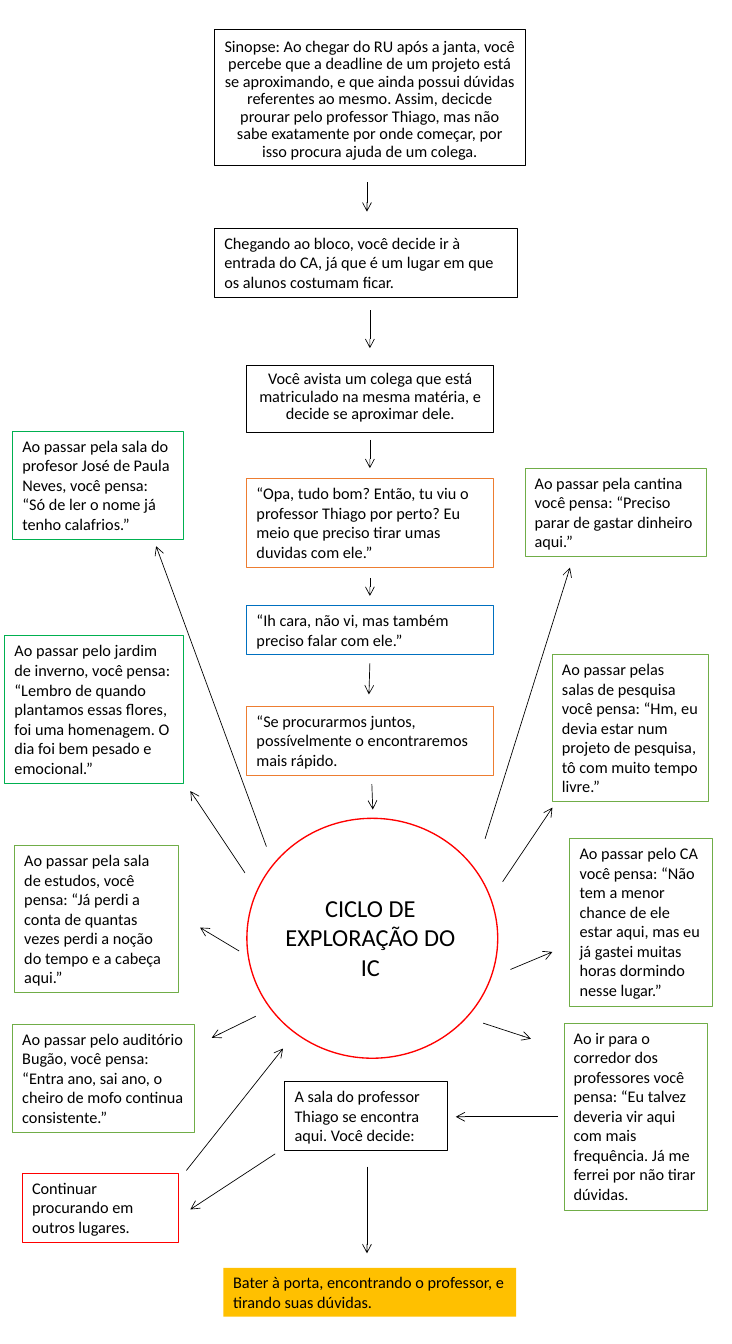
"""Build the flowchart of the search for the professor."""
from dataclasses import dataclass
from lxml import etree
from pptx import Presentation
from pptx import util as u
from pptx.dml import color
from pptx.enum import shapes, text
from pptx.oxml import ns


@dataclass
class Theme:
    font: str = "Calibri"
    body: int = 12
    big: int = 18
    ink: str = "000000"
    red: str = "FF0000"
    orange: str = "ED7D31"
    blue: str = "0070C0"
    green: str = "00B050"
    leaf: str = "70AD47"
    gold: str = "FFC000"


theme = Theme()
rgb = color.RGBColor.from_string
fit = text.MSO_AUTO_SIZE


def place(shape, spot):
    for name, size in zip(("left", "top", "width", "height"), spot):
        setattr(shape, name, u.Inches(size))


def write(shape, words, size=theme.body, align=text.PP_ALIGN.LEFT, space=1.0,
          anchor=text.MSO_ANCHOR.TOP, grow=fit.SHAPE_TO_FIT_TEXT):
    frame = shape.text_frame
    frame.text = words
    para = frame.paragraphs[0]
    font = para.runs[0].font
    font.color.rgb = rgb(theme.ink)
    for part, look in (
        (frame, {"word_wrap": True, "auto_size": grow, "vertical_anchor": anchor}),
        (para, {"alignment": align, "line_spacing": space}),
        (font, {"name": theme.font, "size": u.Pt(size)}),
    ):
        for name, value in look.items():
            setattr(part, name, value)


deck = Presentation()
deck.slide_width, deck.slide_height = u.Inches(7.5), u.Inches(35 / 2.54)
slide = deck.slides.add_slide(deck.slide_layouts[5])
items = slide.shapes
mid = {"align": text.PP_ALIGN.CENTER, "space": 0.9, "grow": fit.NONE}

title = items.title
place(title, (2.2, 0.3, 3.18, 1.4))
title.line.color.rgb = rgb(theme.ink)
title.line.width = u.Pt(0.75)
write(title, "Sinopse: Ao chegar do RU após a janta, você percebe que a deadline de um projeto está se aproximando, e que ainda possui dúvidas referentes ao mesmo. Assim, decicde prourar pelo professor Thiago, mas não sabe exatamente por onde começar, por isso procura ajuda de um colega.",
      anchor=text.MSO_ANCHOR.BOTTOM, **mid)

steps = [
    ((2.53, 3.75, 2.53, 0.68), theme.ink, "Você avista um colega que está matriculado na mesma matéria, e decide se aproximar dele.", mid),
    ((2.2, 2.34, 3.1, 0.71), theme.ink, "Chegando ao bloco, você decide ir à entrada do CA, já que é um lugar em que os alunos costumam ficar.", {}),
    ((2.53, 4.91, 2.53, 0.91), theme.orange, "“Opa, tudo bom? Então, tu viu o professor Thiago por perto? Eu meio que preciso tirar umas duvidas com ele.”", {}),
    ((2.53, 6.21, 2.53, 0.5), theme.blue, "“Ih cara, não vi, mas também preciso falar com ele.”", {}),
    ((2.53, 7.24, 2.53, 0.71), theme.orange, "“Se procurarmos juntos, possívelmente o encontraremos mais rápido.", {}),
    ((0.13, 4.42, 1.75, 1.11), theme.green, "Ao passar pela sala do profesor José de Paula Neves, você pensa: “Só de ler o nome já tenho calafrios.”", {}),
    ((0.05, 6.52, 1.83, 1.51), theme.green, "Ao passar pelo jardim de inverno, você pensa: “Lembro de quando plantamos essas flores, foi uma homenagem. O dia foi bem pesado e emocional.”", {}),
    ((0.15, 8.67, 1.68, 1.51), theme.leaf, "Ao passar pela sala de estudos, você pensa: “Já perdi a conta de quantas vezes perdi a noção do tempo e a cabeça aqui.”", {}),
    ((0.13, 10.5, 1.86, 1.11), theme.leaf, "Ao passar pelo auditório Bugão, você pensa: “Entra ano, sai ano, o cheiro de mofo continua consistente.”", {}),
    ((5.38, 4.8, 1.86, 0.91), theme.leaf, "Ao passar pela cantina você pensa: “Preciso parar de gastar dinheiro aqui.”", {}),
    ((5.66, 6.71, 1.6, 1.51), theme.leaf, "Ao passar pelas salas de pesquisa você pensa: “Hm, eu devia estar num projeto de pesquisa, tô com muito tempo livre.”", {}),
    ((5.84, 8.6, 1.46, 1.72), theme.leaf, "Ao passar pelo CA você pensa: “Não tem a menor chance de ele estar aqui, mas eu já gastei muitas horas dormindo nesse lugar.”", {}),
    ((5.78, 10.49, 1.47, 1.92), theme.leaf, "Ao ir para o corredor dos professores você pensa: “Eu talvez deveria vir aqui com mais frequência. Já me ferrei por não tirar dúvidas.", {}),
    ((2.92, 11.09, 1.67, 0.71), theme.ink, "A sala do professor Thiago se encontra aqui. Você decide:", {}),
    ((0.23, 12.03, 1.6, 0.71), theme.red, "Continuar procurando em outros lugares.", {}),
    ((2.29, 13, 3, 0.5), theme.gold, "Bater à porta, encontrando o professor, e tirando suas dúvidas.", {}),
]
for spot, hue, words, look in steps:
    box = items.add_shape(shapes.MSO_SHAPE.RECTANGLE, *map(u.Inches, spot))
    box.shadow.inherit = False
    if hue == theme.gold:
        box.fill.solid()
        box.fill.fore_color.rgb = rgb(hue)
        box.line.fill.background()
    else:
        box.fill.background()
        box.line.color.rgb = rgb(hue)
        box.line.width = u.Pt(0.75)
    write(box, words, **look)

ring = items.add_shape(shapes.MSO_SHAPE.OVAL, *map(u.Inches, (2.53, 8.39, 2.57, 2.46)))
ring.shadow.inherit = False
ring.fill.background()
ring.line.color.rgb = rgb(theme.red)
ring.line.width = u.Pt(1)
label = items.add_textbox(*map(u.Inches, (2.76, 9.11, 2.07, 1.01)))
write(label, "CICLO DE EXPLORAÇÃO DO IC", theme.big, text.PP_ALIGN.CENTER)

arrows = [
    (3.76, 1.87, 3.76, 2.17), (3.79, 3.18, 3.79, 3.57),
    (3.79, 4.51, 3.79, 4.8), (3.79, 5.93, 3.79, 6.11),
    (3.79, 6.8, 3.78, 7.12), (3.81, 8.04, 3.82, 8.3),
    (2.73, 8.68, 1.6, 5.6), (2.51, 8.95, 1.95, 8.11),
    (2.45, 9.75, 2.05, 9.51), (2.62, 10.42, 2.17, 10.64),
    (4.97, 8.6, 5.84, 5.82), (5.15, 9.04, 5.66, 8.28),
    (5.23, 9.94, 5.66, 9.76), (4.95, 10.49, 5.44, 10.65),
    (5.72, 11.45, 4.67, 11.45), (2.82, 11.83, 1.95, 12.4),
    (1.91, 12, 2.9, 10.75), (3.76, 11.96, 3.76, 12.85),
]
for ends in arrows:
    arrow = items.add_connector(shapes.MSO_CONNECTOR.STRAIGHT, *map(u.Inches, ends))
    arrow.line.color.rgb = rgb(theme.ink)
    arrow.line.width = u.Pt(0.5)
    props = arrow.element.spPr
    etree.SubElement(props.find(ns.qn("a:ln")), ns.qn("a:tailEnd"), type="arrow")
    etree.SubElement(props, ns.qn("a:effectLst"))

deck.save("out.pptx")
